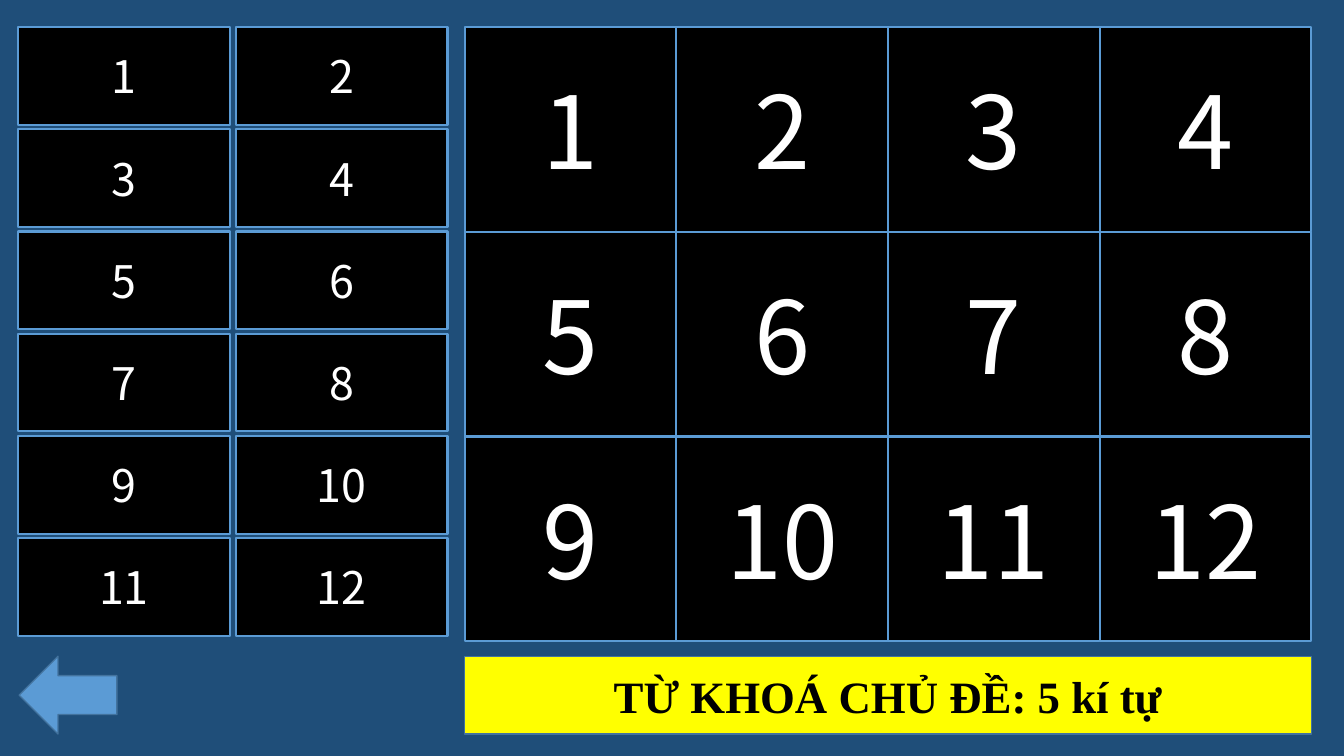
from pptx import Presentation
from pptx.dml.color import RGBColor
from pptx.enum.shapes import MSO_SHAPE
from pptx.enum.text import MSO_ANCHOR, MSO_AUTO_SIZE, PP_ALIGN
from pptx.util import Pt

NUMBER_FONT = "Noto Sans CJK SC"
KEYWORD_FONT = "Times New Roman"
NAVY, BLUE, STEEL = "1F4E79", "5B9BD5", "43739E"
BLACK, WHITE, YELLOW = "000000", "FFFFFF", "FFFF00"

TILE_COUNT = 12
TILE_WIDTH = 151.2
GRID_TOP = 19.4
BOARD_LEFT = 331.9
FOOTER_TOP, FOOTER_HEIGHT = 468.8, 55.5


def colour(hex_string):
    return RGBColor.from_string(hex_string)


def paint(shape, fill, line, line_width):
    shape.fill.solid()
    shape.fill.fore_color.rgb = colour(fill)
    shape.line.color.rgb = colour(line)
    shape.line.width = Pt(line_width)


def write(shape, text, *, size, font, color, bold=False):
    frame = shape.text_frame
    frame.word_wrap = True
    frame.auto_size = MSO_AUTO_SIZE.NONE
    frame.vertical_anchor = MSO_ANCHOR.MIDDLE
    paragraph = frame.paragraphs[0]
    paragraph.alignment = PP_ALIGN.CENTER
    run = paragraph.add_run()
    run.text = text
    run.font.size = Pt(size)
    run.font.name = font
    run.font.bold = bold
    run.font.color.rgb = colour(color)


def add_block(slide, kind, left, top, width, height, fill, line, line_width):
    block = slide.shapes.add_shape(kind, Pt(left), Pt(top), Pt(width), Pt(height))
    block.shadow.inherit = False
    paint(block, fill, line, line_width)
    return block


def add_number_grid(slide, *, left, columns, height, step_x, step_y, size):
    for index in range(TILE_COUNT):
        row, column = divmod(index, columns)
        tile = add_block(slide, MSO_SHAPE.RECTANGLE,
                         left + column * step_x, GRID_TOP + row * step_y,
                         TILE_WIDTH, height, BLACK, BLUE, 1.5)
        write(tile, str(index + 1), size=size, font=NUMBER_FONT, color=WHITE)


def place_keyword(slide, text):
    keyword = slide.shapes.title
    keyword.left, keyword.top = Pt(BOARD_LEFT), Pt(FOOTER_TOP)
    keyword.width, keyword.height = Pt(4 * TILE_WIDTH), Pt(FOOTER_HEIGHT)
    paint(keyword, YELLOW, STEEL, 1)
    write(keyword, text, size=32, font=KEYWORD_FONT, color=BLACK, bold=True)


def main():
    presentation = Presentation()
    presentation.slide_width, presentation.slide_height = Pt(960), Pt(540)
    slide = presentation.slides.add_slide(presentation.slide_layouts[5])
    slide.background.fill.solid()
    slide.background.fill.fore_color.rgb = colour(NAVY)

    add_number_grid(slide, left=BOARD_LEFT, columns=4, height=146.2,
                    step_x=TILE_WIDTH, step_y=146.2, size=72)
    place_keyword(slide, "TỪ KHOÁ CHỦ ĐỀ: 5 kí tự")
    add_block(slide, MSO_SHAPE.LEFT_ARROW, 13.7, FOOTER_TOP, 69.8, FOOTER_HEIGHT,
              BLUE, STEEL, 1)
    add_number_grid(slide, left=13, columns=2, height=69.8,
                    step_x=155.5, step_y=73, size=32)

    presentation.save("out.pptx")


if __name__ == "__main__":
    main()
